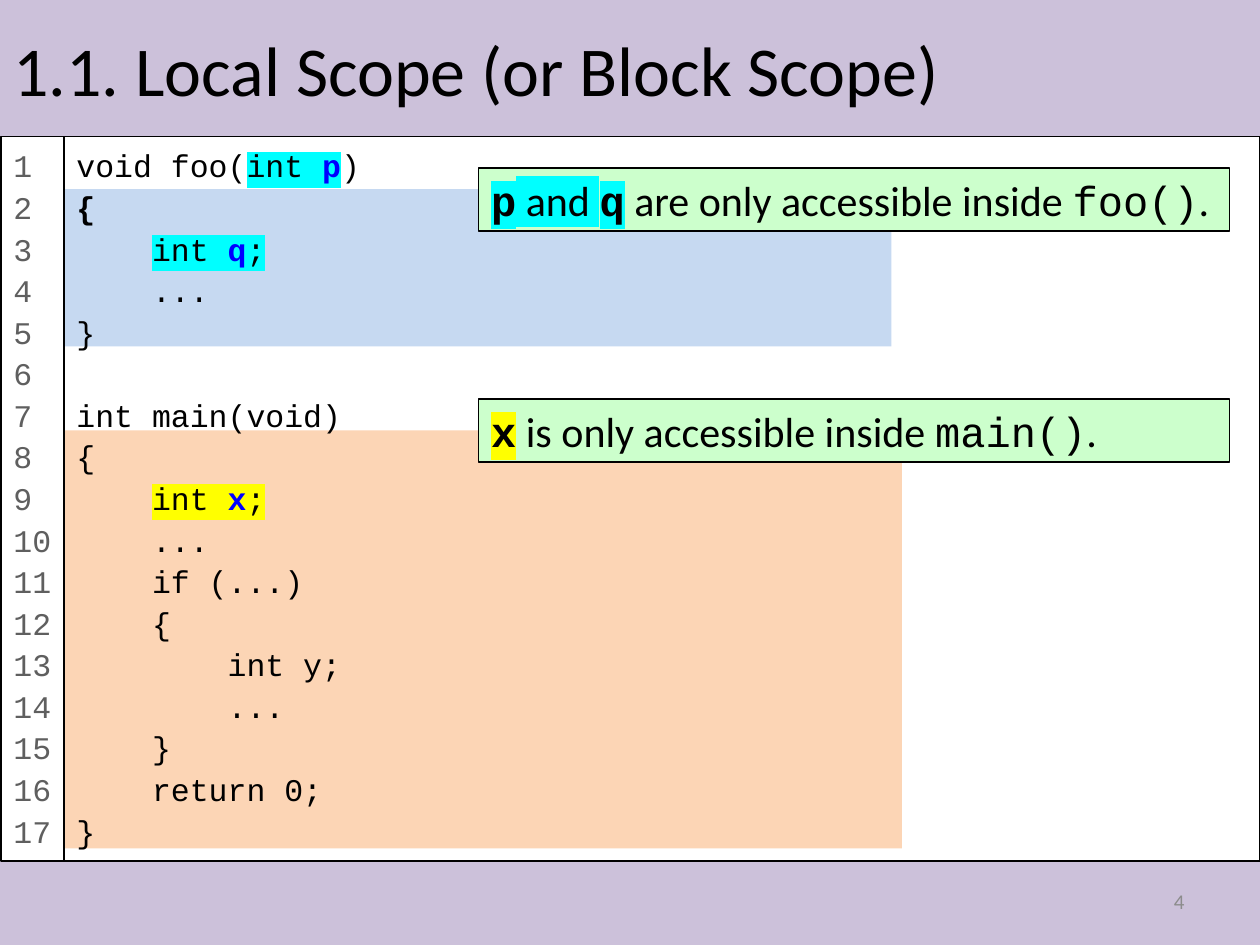
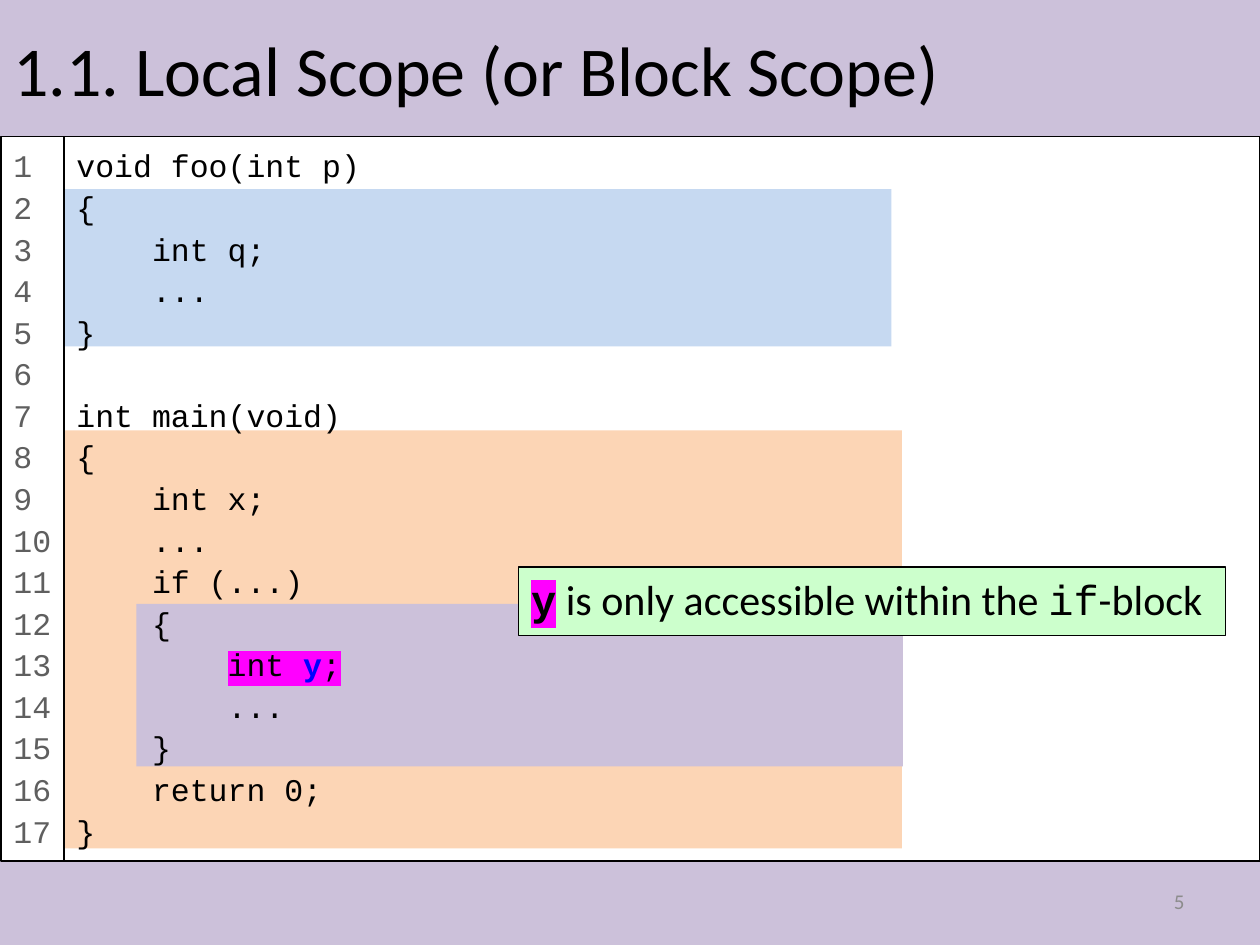
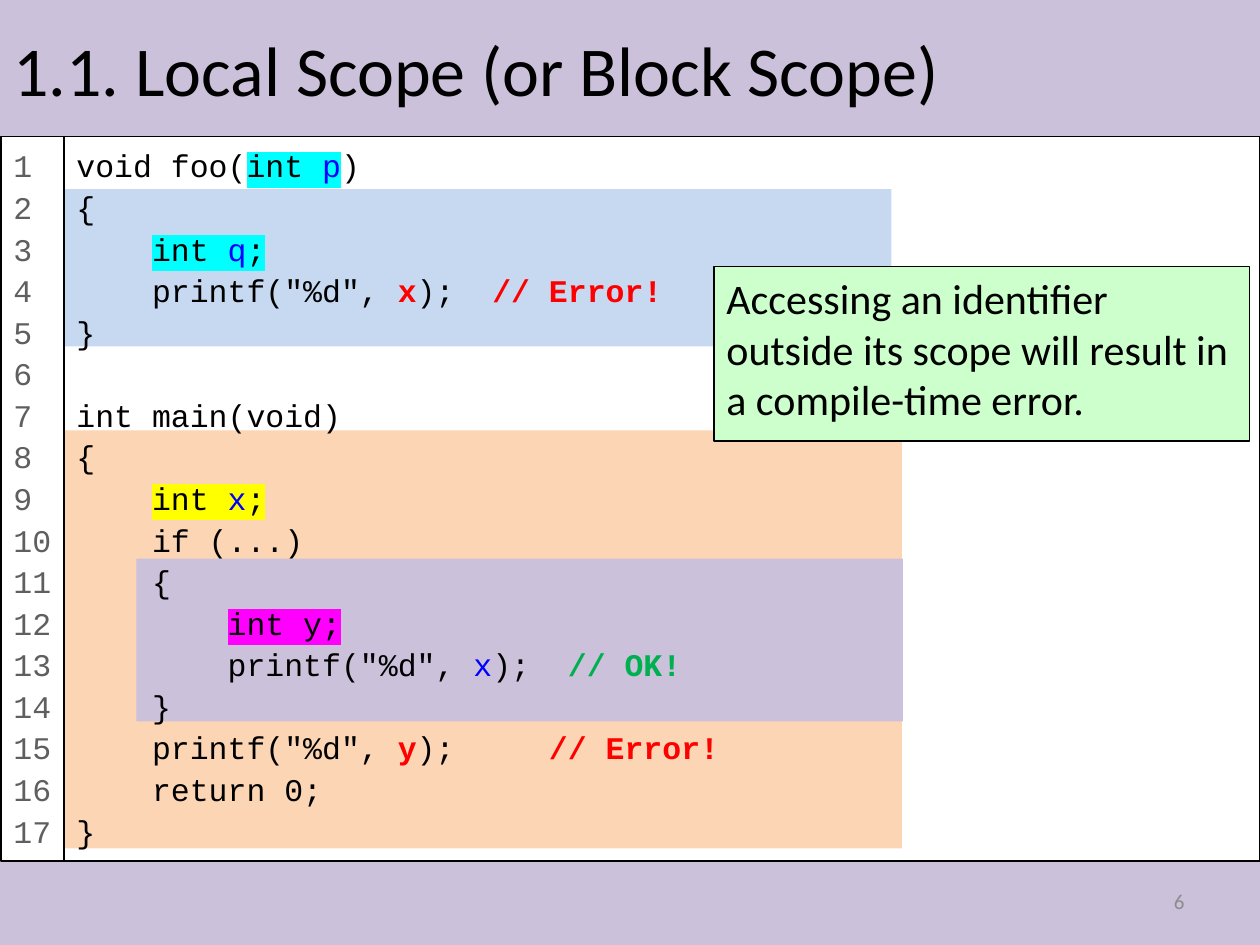
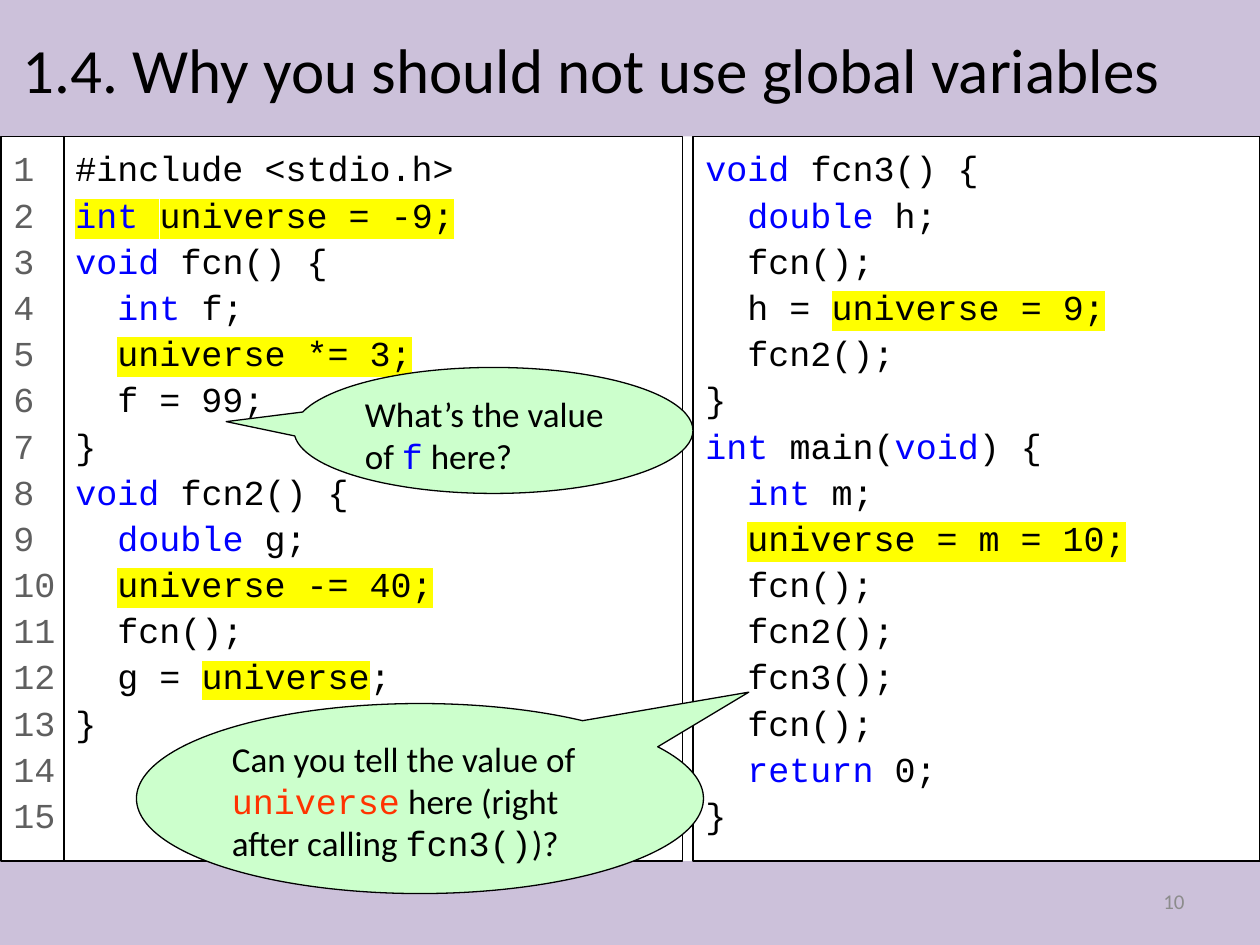
from functools import partial

from lxml import etree
from pptx import Presentation
from pptx import util as u
from pptx.dml.color import RGBColor
from pptx.enum import shapes, text
from pptx.oxml.ns import qn

BLACK = RGBColor(0x00, 0x00, 0x00)
WHITE = RGBColor(0xFF, 0xFF, 0xFF)
GRAY = RGBColor(0x5F, 0x5F, 0x5F)
PALE = RGBColor(0x8C, 0x8C, 0x8C)
LILAC = RGBColor(0xCC, 0xC1, 0xDA)
PEACH = RGBColor(0xFC, 0xD5, 0xB5)
SKY = RGBColor(0xC6, 0xD9, 0xF1)
MINT = RGBColor(0xCC, 0xFF, 0xCC)
BLUE = RGBColor(0x00, 0x00, 0xFF)
RED = RGBColor(0xFF, 0x00, 0x00)
CORAL = RGBColor(0xFF, 0x33, 0x00)
GREEN = RGBColor(0x00, 0xB0, 0x50)
CYAN = RGBColor(0x00, 0xFF, 0xFF)
YELLOW = RGBColor(0xFF, 0xFF, 0x00)
PINK = RGBColor(0xFF, 0x00, 0xFF)

SANS, MONO = "Calibri", "Courier New"
COLS, ROWS = 120, 90
TOP, BASE = 13, 82
GUTTER = 6.1
RECT = shapes.MSO_SHAPE.RECTANGLE
BUBBLE = shapes.MSO_SHAPE.OVAL_CALLOUT
LEFT, RIGHT = text.PP_ALIGN.LEFT, text.PP_ALIGN.RIGHT
HIGH, MID = text.MSO_ANCHOR.TOP, text.MSO_ANCHOR.MIDDLE


def run(words, **form):
    return words, form


def write(para, words, font=SANS, size=24, color=BLACK, bold=False, mark=None):
    if not words:
        end = etree.SubElement(para._p, qn("a:endParaRPr"), sz=str(size * 100))
        etree.SubElement(end, qn("a:latin"), typeface=font)
        return
    item = para.add_run()
    item.text = words
    face = item.font
    face.name, face.size, face.bold = font, u.Pt(size), bold
    face.color.rgb = color
    if mark is not None:
        glow = etree.Element(qn("a:highlight"))
        etree.SubElement(glow, qn("a:srgbClr"), val=str(mark))
        item._r.rPr.find(qn("a:solidFill")).addnext(glow)


class Deck:
    def __init__(self):
        self.prs = Presentation()
        self.prs.slide_width, self.prs.slide_height = u.Inches(10), u.Inches(7.5)
        self.blank = self.prs.slide_layouts[6]
        self.slide = None

    def place(self, left, top, width, height):
        wide, high = self.prs.slide_width / COLS, self.prs.slide_height / ROWS
        return [u.Emu(round(n)) for n in
                (left * wide, top * high, width * wide, height * high)]

    def bands(self):
        for top, end in ((0, TOP), (BASE, ROWS)):
            band = self.shape((0, top, COLS, end - top), LILAC)
            self.blank.shapes.element.append(band.element)

    def start(self, page):
        first = self.slide is None
        self.slide = self.prs.slides.add_slide(self.blank)
        if first:
            self.bands()
        self.label((86, 83.4, 28, 4.8), page, align=RIGHT, size=12, color=PALE)

    def fill(self, frame, lines, space=None, align=LEFT, anchor=HIGH, **form):
        frame.word_wrap = True
        frame.vertical_anchor = anchor
        for n, line in enumerate(lines):
            para = frame.paragraphs[0] if n == 0 else frame.add_paragraph()
            para.alignment = align
            if space:
                para.line_spacing = space
            for words, own in [run(line)] if isinstance(line, str) else line:
                write(para, words, **{**form, **own})

    def shape(self, area, color=None, line=False, kind=RECT):
        item = self.slide.shapes.add_shape(kind, *self.place(*area))
        item.shadow.inherit = False
        if color is None:
            item.fill.background()
        else:
            item.fill.solid()
            item.fill.fore_color.rgb = color
        if line:
            item.line.color.rgb = BLACK
            item.line.width = u.Pt(0.75)
        else:
            item.line.fill.background()
        return item

    def label(self, area, words, **form):
        box = self.slide.shapes.add_textbox(*self.place(*area))
        self.fill(box.text_frame, [words], anchor=MID, **form)

    def title(self, words, area=(0.1, 0, 119.9, TOP), size=40):
        self.label(area, words, size=size)

    def code(self, left, width, lines, size=18, color=None):
        box = self.shape((left, TOP, width, BASE - TOP), color, line=True)
        self.fill(box.text_frame, lines, space=1.1, font=MONO, size=size)

    def count(self, last, size=18):
        box = self.shape((0.1, TOP, GUTTER - 0.1, BASE - TOP), WHITE, line=True)
        box.text_frame.margin_right = 0
        self.fill(box.text_frame, [str(n) for n in range(1, last + 1)],
                  space=1.1, font=MONO, size=size, color=GRAY)

    def note(self, area, *runs):
        box = self.shape(area, MINT, line=True)
        self.fill(box.text_frame, [runs])

    def bubble(self, area, tip, *runs):
        box = self.shape(area, MINT, line=True, kind=BUBBLE)
        box.adjustments[0], box.adjustments[1] = tip
        self.fill(box.text_frame, [runs], size=20)

    def scope(self, page, lines, inner=None):
        self.start(page)
        self.shape((6.2, 41, 79.7, 39.8), PEACH)
        if inner:
            self.shape((13, inner, 73, 15.5), LILAC)
        self.shape((GUTTER, 18, 78.8, 15), SKY)
        self.code(GUTTER, COLS - GUTTER, lines)
        self.count(len(lines))
        self.title("1.1. Local Scope (or Block Scope)")


mono = partial(run, font=MONO)
key = partial(run, color=BLUE)
hot = partial(run, mark=YELLOW)
bad = partial(run, color=RED, bold=True)

CODE = [
    "void foo(int p)",
    "{",
    "    int q;",
    "    ...",
    "}",
    "",
    "int main(void)",
    "{",
    "    int x;",
    "    ...",
    "    if (...)",
    "    {",
    "        int y;",
    "        ...",
    "    }",
    "    return 0;",
    "}",
]

LEFTCODE = [
    "#include <stdio.h>",
    [key("int ", mark=YELLOW), hot("universe = -9;")],
    [key("void "), run("fcn() {")],
    [run("  "), key("int"), run(" f;")],
    [run("  "), hot("universe *= 3;")],
    "  f = 99;",
    "}",
    [key("void"), run(" fcn2() {")],
    [run("  "), key("double"), run(" g;")],
    [run("  "), hot("universe -= 40;")],
    "  fcn();",
    [run("  g = "), hot("universe"), run(";")],
    "}",
]

RIGHTCODE = [
    [key("void"), run(" fcn3() {")],
    [run("  "), key("double "), run("h;")],
    "  fcn();",
    [run("  h = "), hot("universe = 9;")],
    "  fcn2();",
    "}",
    [key("int"), run(" main("), key("void"), run(") {")],
    [run("  "), key("int"), run(" m;")],
    [run("  "), hot("universe = m = 10;")],
    "  fcn();",
    "  fcn2();",
    "  fcn3();",
    "  fcn();",
    [run("  "), key("return"), run(" 0;")],
    "}",
]


def swap(lines, new):
    return [new.get(n, line) for n, line in enumerate(lines, 1)]


def local(name, mark, bold, lead="    ", tail=";"):
    last = run(tail, mark=mark if tail == ";" else None)
    return [run(lead), run("int ", mark=mark),
            key(name, mark=mark, bold=bold), last]


def marks(bold):
    return {
        1: local("p", CYAN, bold, "void foo(", ")"),
        3: local("q", CYAN, bold),
        9: local("x", YELLOW, bold),
    }


def call(lead, arg, gap, end):
    return [run(lead + 'printf("%d", '), arg, run(");" + gap), end]


def main():
    deck = Deck()

    deck.scope("4", swap(CODE, {**marks(True), 2: [run("{", bold=True)]}))
    deck.note((45.6, 16, 71.5, 6),
              mono("p", bold=True, mark=CYAN), run(" and ", mark=CYAN),
              mono("q", bold=True, mark=CYAN),
              run(" are only accessible inside "), mono("foo()"), run("."))
    deck.note((45.6, 38, 71.5, 6),
              mono("x", bold=True, mark=YELLOW),
              run(" is only accessible inside "), mono("main()"), run("."))

    deck.scope("5", swap(CODE, {13: local("y", PINK, True, " " * 8)}), 57.5)
    deck.note((49.4, 54, 67.3, 6.5),
              mono("y", bold=True, mark=PINK),
              run(" is only accessible within the "), mono("if"), run("-block"))

    calls = {
        **marks(False),
        4: call("    ", bad("x"), "", bad("  // Error!")),
        10: "    if (...)",
        11: "    {",
        12: [run("        "), run("int y;", mark=PINK)],
        13: call("        ", key("x"), "  ",
                 run("// OK!", color=GREEN, bold=True)),
        14: "    }",
        15: call("    ", bad("y"), "", bad("     // Error!")),
    }
    deck.scope("6", swap(CODE, calls), 53.2)
    deck.note((68, 25.4, 51, 16.6),
              run("Accessing an identifier outside its scope will result in "
                  "a compile-time error."))

    deck.start("10")
    deck.title("1.4. Why you should not use global variables",
               (1, 1, 118, 11), 36)
    deck.code(6, 59, LEFTCODE, 20, WHITE)
    deck.count(15, 20)
    deck.code(66, 54, RIGHTCODE, 20, WHITE)
    deck.bubble((13, 67, 54, 18.1), (0.58, -0.56),
                run("Can you tell the value of "), mono("universe", color=CORAL),
                run(" here (right after calling "), mono("fcn3()"), run(")?"))
    deck.bubble((28, 35, 38, 12), (-0.67, -0.07),
                run("What’s the value of "), mono("f", color=BLUE),
                run(" here?"))

    deck.prs.save("out.pptx")


if __name__ == "__main__":
    main()
